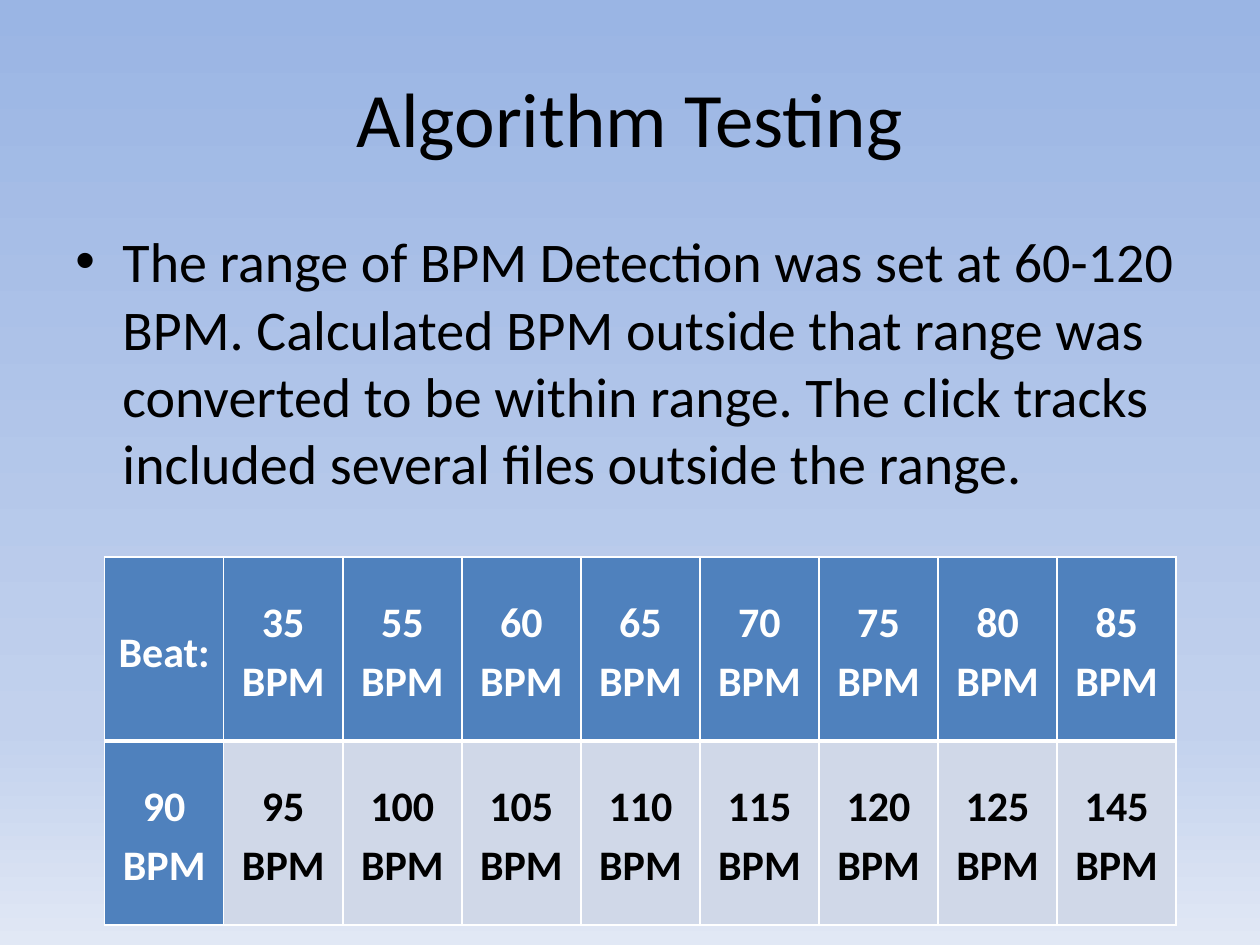
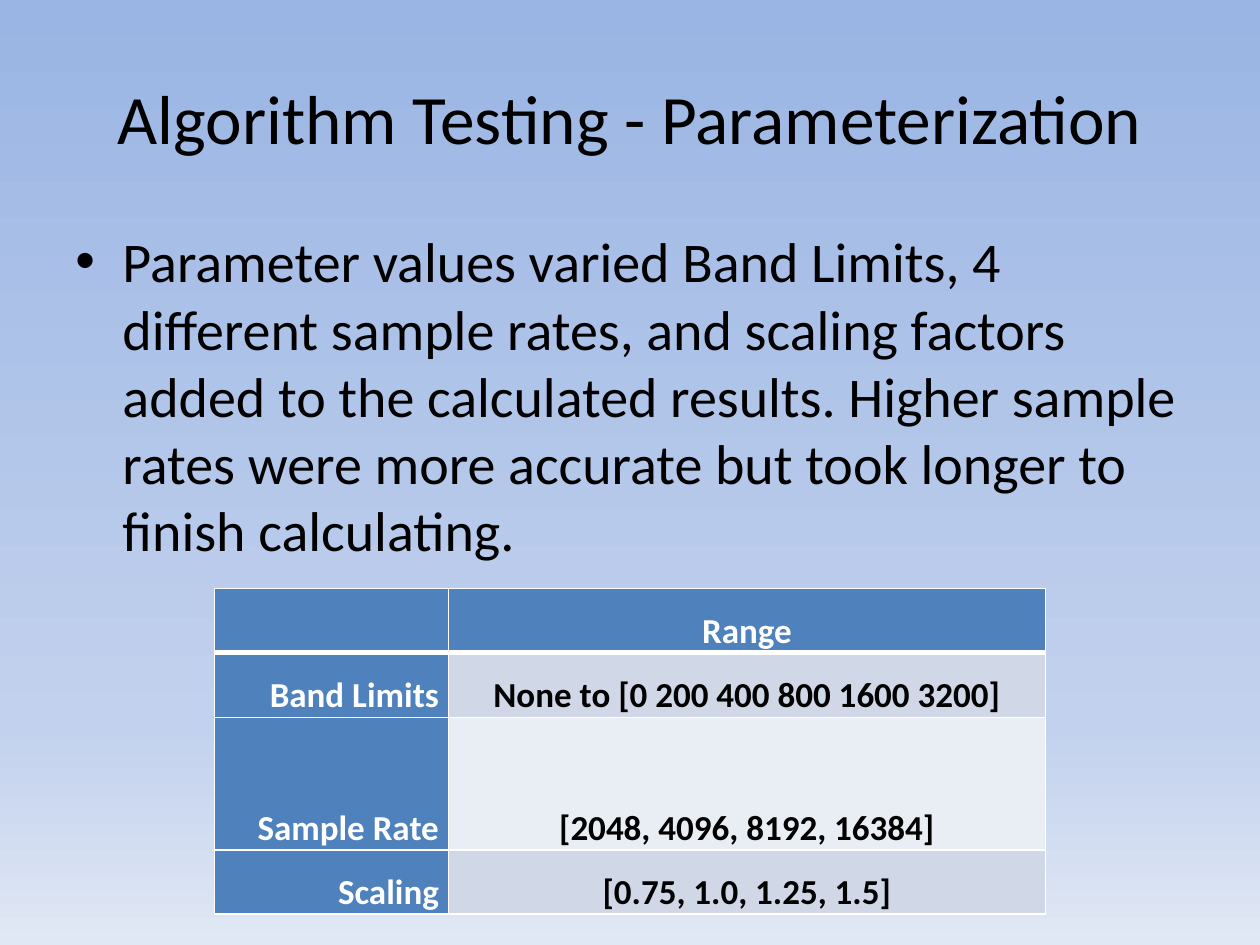
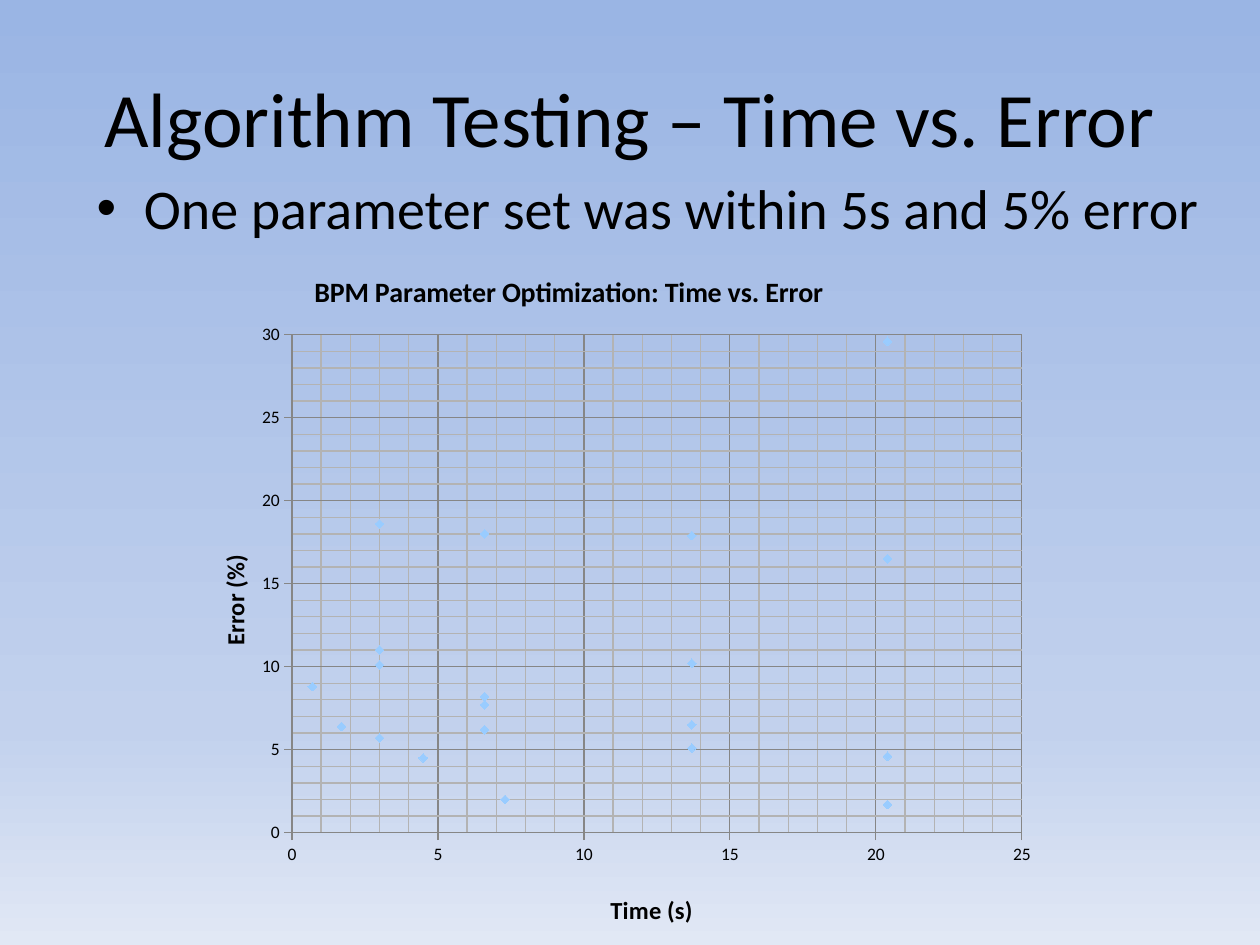
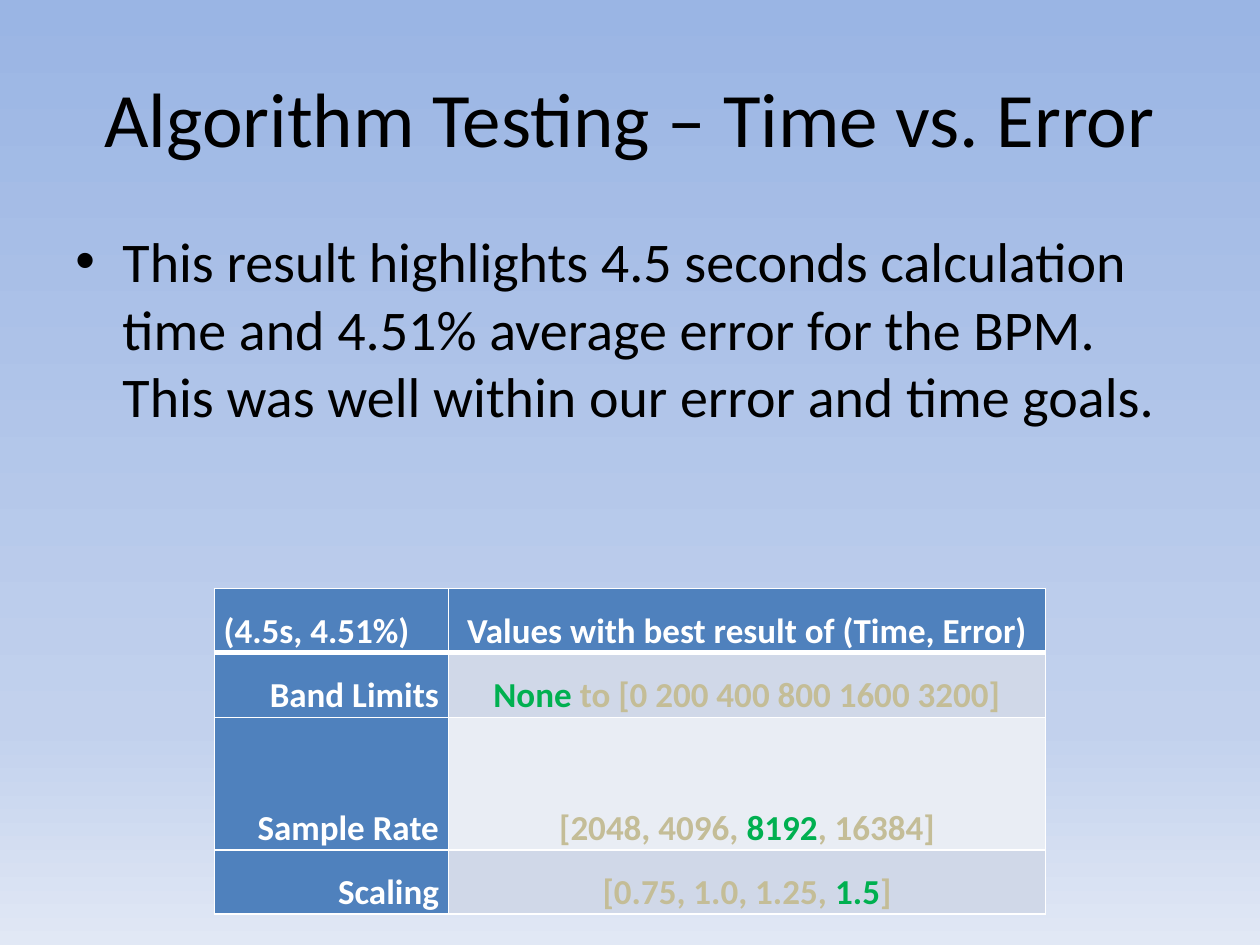
from pptx import Presentation
from pptx import util as u
from pptx.chart.data import XyChartData
from pptx.dml.color import RGBColor
from pptx.enum import chart as ch, text
from pptx.oxml import parse_xml
from pptx.oxml.ns import nsdecls, qn

FONT = "Calibri"
BLACK, WHITE, BLUE = "000000", "FFFFFF", "4F81BD"
BANDS = ("E9EDF4", "D0D8E8")
GREEN, MUTED = "00B050", "C4BD97"
MARKER, MAJOR, MINOR = "99CCFF", "868686", "B3B3B3"
BACKDROP = ((0, "9AB5E4"), (77, "C2D1ED"), (100, "E1E8F5"))
LEFT, CENTER, RIGHT = text.PP_ALIGN.LEFT, text.PP_ALIGN.CENTER, text.PP_ALIGN.RIGHT
MIDDLE, BOTTOM, TOP = text.MSO_ANCHOR.MIDDLE, text.MSO_ANCHOR.BOTTOM, text.MSO_ANCHOR.TOP


def rgb(value):
    return RGBColor.from_string(value)


def assign(target, values):
    for name, value in values.items():
        setattr(target, name, value)


def style_font(font, size, color=BLACK, bold=False):
    assign(font, {"name": FONT, "size": u.Pt(size), "bold": bold})
    font.color.rgb = rgb(color)


def solid_fill(color):
    return f'<a:solidFill><a:srgbClr val="{color}"/></a:solidFill>'


def place(element, **fractions):
    """Give a chart part a manual layout in fractions of the chart."""
    layout = element.find(qn("c:layout"))
    if layout is not None:
        element.remove(layout)
    items = "".join(f'<c:{k} val="{v}"/>' for k, v in fractions.items())
    layout = parse_xml(f'<c:layout {nsdecls("c")}><c:manualLayout>{items}'
                       '</c:manualLayout></c:layout>')
    has_text = len(element) and element[0].tag == qn("c:tx")
    element.insert(1 if has_text else 0, layout)


class Deck:
    def __init__(self):
        self.prs = Presentation()
        self.prs.slide_width, self.prs.slide_height = u.Cm(25.4), u.Cm(19.05)
        self.s = None

    def slide(self, title, size=44):
        self.s = self.prs.slides.add_slide(self.prs.slide_layouts[6])
        self.backdrop()
        self.box(title, (1.27, 0.76, 22.86, 3.18), size, CENTER, MIDDLE)

    def backdrop(self):
        fill = self.s.background.fill
        fill.gradient()
        fill.gradient_angle = 270
        stops = self.s.element.find(".//" + qn("a:gsLst"))
        for stop in list(stops):
            stops.remove(stop)
        for position, color in BACKDROP:
            stops.append(parse_xml(
                f'<a:gs {nsdecls("a")} pos="{position * 1000}">'
                f'<a:srgbClr val="{color}"/></a:gs>'))

    def box(self, words, area, size, align, anchor):
        tf = self.s.shapes.add_textbox(*map(u.Cm, area)).text_frame
        assign(tf, {"word_wrap": True, "vertical_anchor": anchor})
        p = tf.paragraphs[0]
        p.alignment = align
        r = p.add_run()
        r.text = words
        style_font(r.font, size)
        return p

    def bullet(self, words, left=1.27, top=4.45):
        p = self.box(words, (left, top, 22.86, 12.57), 32, LEFT, TOP)
        pPr = p._p.get_or_add_pPr()
        pPr.set("marL", str(u.Cm(0.95)))
        pPr.set("indent", str(-u.Cm(0.95)))
        for tag in ('buFont {} typeface="Arial"', 'buChar {} char="•"'):
            pPr.append(parse_xml(f'<a:{tag.format(nsdecls("a"))}/>'))

    # Tables: blue header row and first column, banded body
    def table(self, rows, left, top, widths, heights, size, anchor, label_align):
        tbl = self.s.shapes.add_table(
            len(rows), len(widths), u.Cm(left), u.Cm(top),
            u.Cm(sum(widths)), u.Cm(sum(heights))).table
        for column, width in zip(tbl.columns, widths):
            column.width = u.Cm(width)
        for row, height in zip(tbl.rows, heights):
            row.height = u.Cm(height)
        for i, row in enumerate(rows):
            for j, words in enumerate(row):
                cell = tbl.cell(i, j)
                heading = i == 0 or j == 0
                align = CENTER if j else label_align[min(i, 1)]
                assign(cell, {"vertical_anchor": anchor,
                              "margin_left": u.Cm(0.19), "margin_right": u.Cm(0.19),
                              "margin_top": 0, "margin_bottom": 0})
                cell.fill.solid()
                cell.fill.fore_color.rgb = rgb(BLUE if heading else BANDS[i % 2])
                self.cell_text(cell, words, size, align, WHITE if heading else BLACK)
                self.borders(cell, i)

    def cell_text(self, cell, words, size, align, color):
        """Parts between asterisks are highlighted, the rest is muted."""
        p = cell.text_frame.paragraphs[0]
        assign(p, {"alignment": align, "line_spacing": 1.15})
        parts = words.split("*")
        colors = (MUTED, GREEN) if len(parts) > 1 else (color,)
        for k, part in enumerate(parts):
            if part:
                r = p.add_run()
                r.text = part
                style_font(r.font, size, colors[k % 2], True)

    def borders(self, cell, row):
        widths = {"L": 1, "R": 1, "T": 3 if row == 1 else 1, "B": 3 if row == 0 else 1}
        tcPr = cell._tc.get_or_add_tcPr()
        for k, (side, width) in enumerate(widths.items()):
            tcPr.insert(k, parse_xml(
                f'<a:ln{side} {nsdecls("a")} w="{u.Pt(width)}">'
                f'{solid_fill(WHITE)}</a:ln{side}>'))

    def parameters(self, rows):
        self.table(rows, 4.32, 11.86, (4.72, 12.04), (1.3, 1.3, 2.67, 1.3),
                   20, BOTTOM, (LEFT, RIGHT))

    # Scatter chart with major and minor grids
    def scatter(self, title, points, area, axes):
        data = XyChartData()
        series = data.add_series("Series 1")
        for x, y in points:
            series.add_data_point(x, y)
        chart = self.s.shapes.add_chart(
            ch.XL_CHART_TYPE.XY_SCATTER, *map(u.Cm, area), data).chart
        style_font(chart.font, 10)
        chart.has_legend = False
        self.chart_title(chart.chart_title, title, 16, 0.15, 0.04)
        place(chart._chartSpace.chart.plotArea, layoutTarget="inner",
              xMode="edge", yMode="edge", x=0.13, y=0.135, w=0.837, h=0.706)
        for axis, (name, maximum, x, y) in zip(
                (chart.category_axis, chart.value_axis), axes):
            assign(axis, {"minimum_scale": 0, "maximum_scale": maximum,
                          "major_unit": 5, "minor_unit": 1,
                          "has_major_gridlines": True, "has_minor_gridlines": True,
                          "major_tick_mark": ch.XL_TICK_MARK.OUTSIDE,
                          "minor_tick_mark": ch.XL_TICK_MARK.NONE})
            assign(axis.tick_labels, {"number_format": "General",
                                      "number_format_is_linked": False})
            style_font(axis.tick_labels.font, 10)
            self.chart_title(axis.axis_title, name, 14, x, y)
            for part in (axis, axis.major_gridlines):
                part.format.line.color.rgb = rgb(MAJOR)
                part.format.line.width = u.Pt(0.75)
            axis._element.find(qn("c:minorGridlines")).append(parse_xml(
                f'<c:spPr {nsdecls("c", "a")}><a:ln w="{u.Pt(0.75)}">'
                f'{solid_fill(MINOR)}</a:ln></c:spPr>'))
        plot = chart.plots[0]
        plot.vary_by_categories = False
        dots = plot.series[0]
        dots.format.line.fill.background()
        assign(dots.marker, {"style": ch.XL_MARKER_STYLE.DIAMOND, "size": 5})
        dots.marker.format.fill.solid()
        dots.marker.format.fill.fore_color.rgb = rgb(MARKER)
        dots.marker.format.line.color.rgb = rgb(MARKER)

    def chart_title(self, holder, words, size, x, y):
        r = holder.text_frame.paragraphs[0].add_run()
        r.text = words
        style_font(r.font, size, bold=True)
        place(holder._element, xMode="edge", yMode="edge", x=x, y=y)


def main():
    deck = Deck()

    # Click tracks
    deck.slide("Algorithm Testing")
    deck.bullet("The range of BPM Detection was set at 60-120 BPM. Calculated BPM "
                "outside that range was converted to be within range. The click "
                "tracks included several files outside the range.")
    beats = ((35, 55, 60, 65, 70, 75, 80, 85),
             (90, 95, 100, 105, 110, 115, 120, 125, 145))
    first, second = [[f"{beat} BPM" for beat in row] for row in beats]
    deck.table([["Beat:"] + first, second], 2.11, 11.23, [2.4] * 9, [3.71] * 2,
               24, MIDDLE, (CENTER, CENTER))

    # Parameter ranges
    deck.slide("Algorithm Testing - Parameterization", 39.6)
    deck.bullet("Parameter values varied Band Limits, 4 different sample rates, and "
                "scaling factors added to the calculated results. Higher sample rates "
                "were more accurate but took longer to finish calculating.")
    deck.parameters([("", "Range"),
                     ("Band Limits", "None to [0 200 400 800 1600 3200]"),
                     ("Sample Rate", "[2048, 4096, 8192, 16384]"),
                     ("Scaling", "[0.75, 1.0, 1.25, 1.5]")])

    # Time against error
    deck.slide("Algorithm Testing – Time vs. Error")
    deck.bullet("One parameter set was within 5s and 5% error", 1.7, 3.38)
    times = [20.4, 13.7, 6.6, 3] * 4 + [7.3, 4.5, 1.7, 0.7]
    errors = [4.6, 6.5, 18, 18.6, 29.6, 17.9, 8.2, 11, 16.5, 10.2,
              7.7, 10.1, 1.7, 5.1, 6.2, 5.7, 2, 4.5, 6.4, 8.8]
    deck.scatter("BPM Parameter Optimization: Time vs. Error", zip(times, errors),
                 (3.6, 4.83, 17.58, 14.22),
                 (("Time (s)", 25, 0.49, 0.92), ("Error (%)", 30, 0.04, 0.44)))

    # Best result
    deck.slide("Algorithm Testing – Time vs. Error")
    deck.bullet("This result highlights 4.5 seconds calculation time and 4.51% average "
                "error for the BPM. This was well within our error and time goals.")
    deck.parameters([("(4.5s, 4.51%)", "Values with best result of (Time, Error)"),
                     ("Band Limits", "*None *to [0 200 400 800 1600 3200]"),
                     ("Sample Rate", "[2048, 4096, *8192*, 16384]"),
                     ("Scaling", "[0.75, 1.0, 1.25, *1.5*]")])

    deck.prs.save("out.pptx")


if __name__ == "__main__":
    main()
